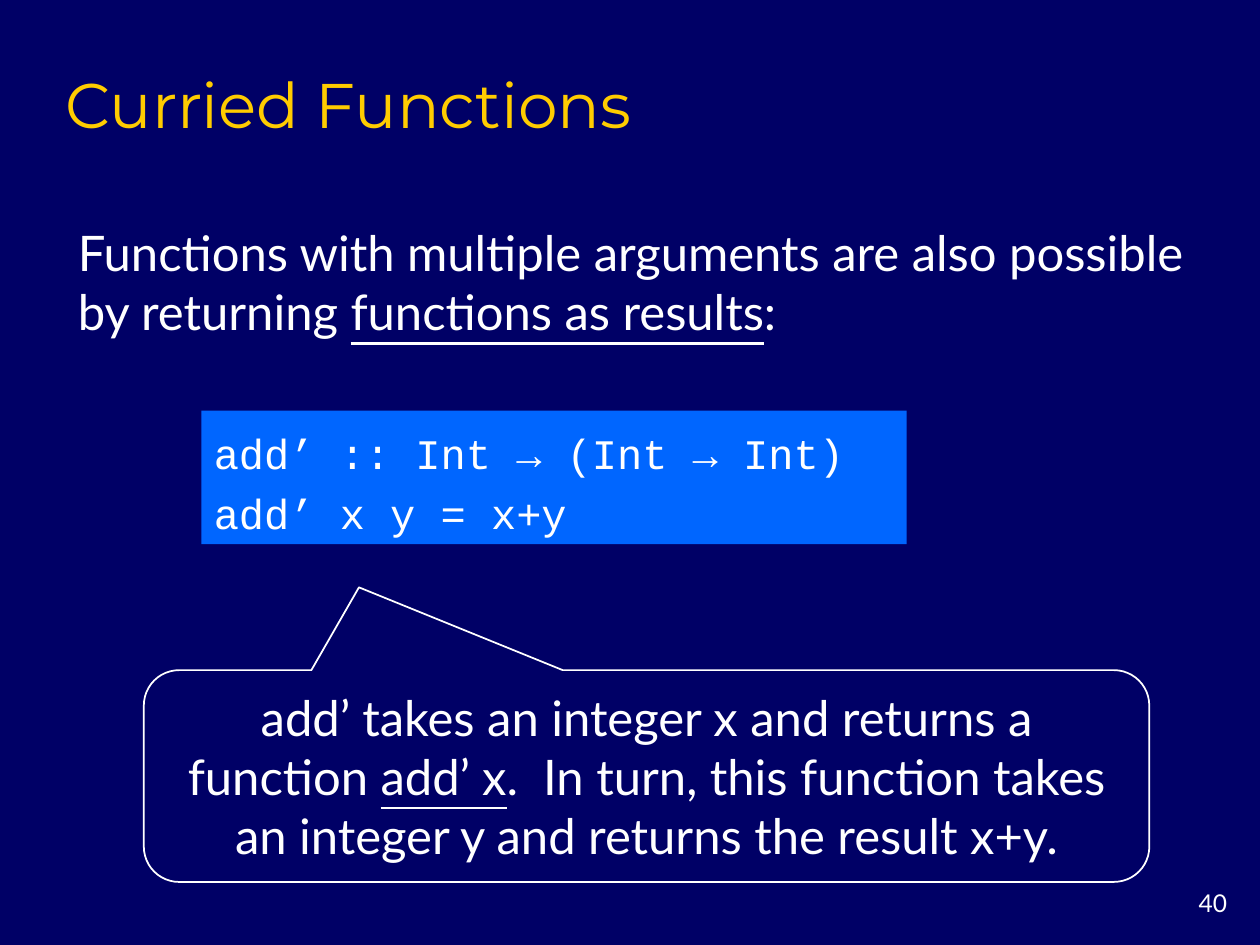
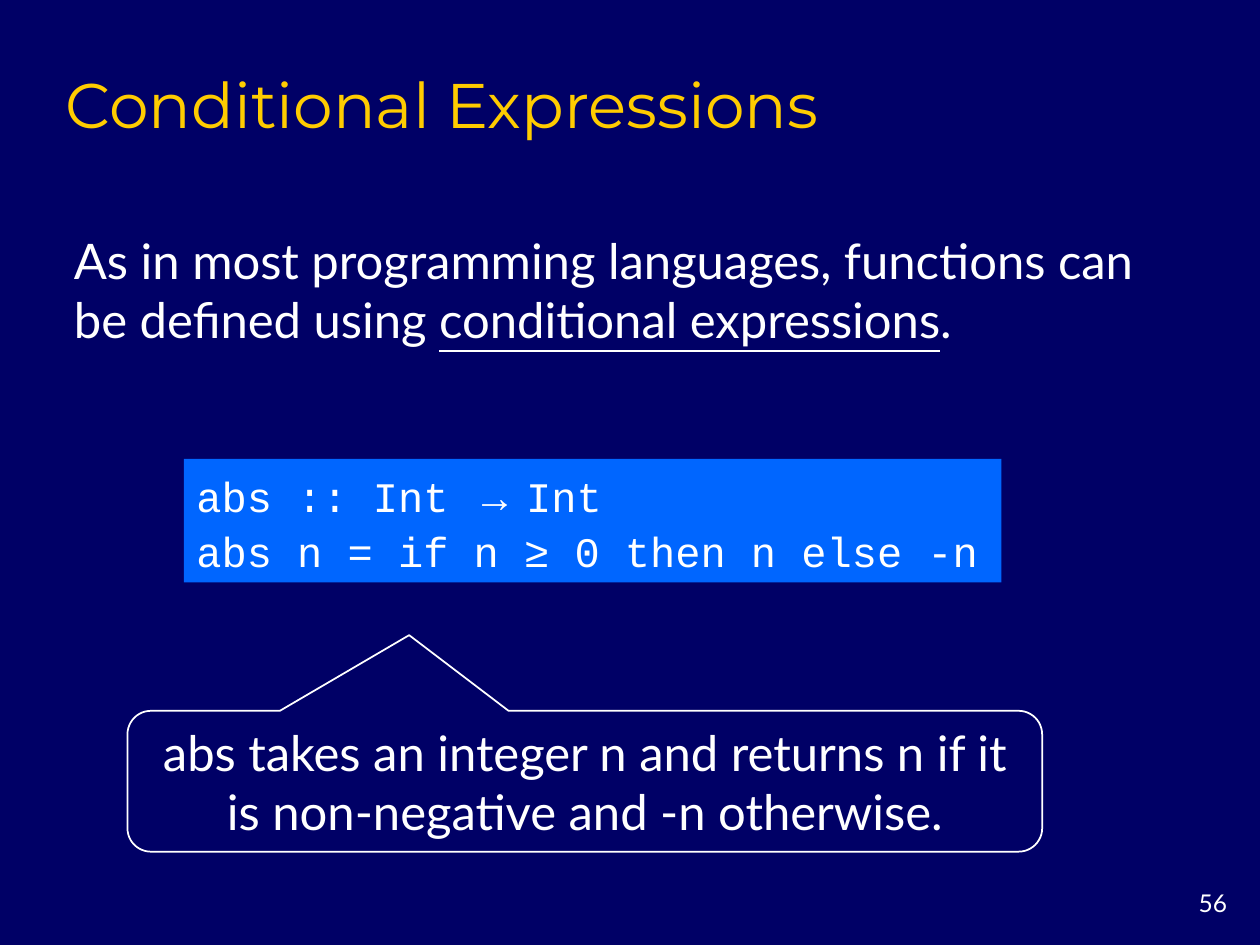
from pptx import Presentation
from pptx.dml.color import RGBColor as Rgb
from pptx.enum.shapes import MSO_SHAPE as Shape
from pptx.enum.text import MSO_ANCHOR as Anchor, PP_ALIGN as Align
from pptx.util import Cm, Pt

HUES = {"back": "000066", "code": "0066FF", "text": "FFFFFF", "title": "FFCC00"}
BODY, HEAD, MONO, SERIF = "Lato", "Montserrat", "Courier New", "Times New Roman"
TITLE_BOX = (1.07, 1.07, 21.59, 1.9)
PAGE_BOX = (23.29, 17.78, 1.7, 0.84)

PAGES = [
    {
        "title": "Curried Functions",
        "page": 40,
        "intro": ((1.32, 4.37, 23.16, 2.62),
                  "Functions with multiple arguments are also possible "
                  "by returning _functions as results_:"),
        "code": ((4.06, 8.28, 14.22, 2.69),
                 ["add’ :: Int → (Int → Int)", "add’ x y = x+y"], 1.2),
        "note": ((2.9, 13.51, 20.27, 4.27),
                 "add’ takes an integer x and returns a function _add’ x_.  "
                 "In turn, this function takes an integer y and returns "
                 "the result x+y.", (-0.286, -0.891, 0.167)),
    },
    {
        "title": "Conditional Expressions",
        "page": 56,
        "intro": ((1.24, 4.52, 22.48, 2.62),
                  "As in most programming languages, functions can "
                  "be defined using _conditional expressions_."),
        "code": ((3.71, 9.25, 16.48, 2.49),
                 ["abs :: Int _→ _Int", "abs n = if n ≥ 0 then n else -n"], 1.1),
        "note": ((2.57, 14.33, 18.44, 2.84),
                 "abs takes an integer n and returns n if it "
                 "is non-negative and -n otherwise.", (-0.192, -1.037, 0.167)),
    },
]


def hue(name):
    """Return a named colour."""
    return Rgb.from_string(HUES[name])


def line(run):
    """Underline a marked run."""
    run.font.underline = True


def serif(run):
    """Set a marked run in the serif font."""
    run.font.name = SERIF


def write(shape, rows, face, size, color="text", align=Align.LEFT,
          anchor=Anchor.MIDDLE, space=None, mark=line):
    """Fill a shape with rows of text, marking the parts between underscores."""
    frame = shape.text_frame
    frame.word_wrap = True
    frame.vertical_anchor = anchor
    for i, row in enumerate(rows):
        para = frame.add_paragraph() if i else frame.paragraphs[0]
        para.alignment = align
        para.line_spacing = space
        para.font.name = face
        para.font.size = Pt(size)
        para.font.color.rgb = hue(color)
        for j, part in enumerate(row.split("_")):
            run = para.add_run()
            run.text = part
            if j % 2:
                mark(run)


def add_title(slide, text):
    """Move and format the title placeholder."""
    title = slide.shapes.title
    title.left, title.top, title.width, title.height = map(Cm, TITLE_BOX)
    write(title, [text], HEAD, 36, "title", anchor=Anchor.BOTTOM)


def add_page(slide, num):
    """Add the page number."""
    box = slide.shapes.add_textbox(*map(Cm, PAGE_BOX))
    write(box, [str(num)], BODY, 14, align=Align.RIGHT, anchor=Anchor.TOP)


def add_intro(slide, box, text):
    """Add the opening sentence."""
    write(slide.shapes.add_textbox(*map(Cm, box)), [text], BODY, 28)


def add_code(slide, box, rows, space):
    """Add a filled panel of code."""
    panel = slide.shapes.add_shape(Shape.RECTANGLE, *map(Cm, box))
    panel.shadow.inherit = False
    panel.fill.solid()
    panel.fill.fore_color.rgb = hue("code")
    panel.line.fill.background()
    write(panel, rows, MONO, 24, space=space, mark=serif)


def add_note(slide, box, text, tip):
    """Add an outlined callout that points at the code."""
    note = slide.shapes.add_shape(Shape.ROUNDED_RECTANGULAR_CALLOUT, *map(Cm, box))
    for i, value in enumerate(tip):
        note.adjustments[i] = value
    note.shadow.inherit = False
    note.fill.background()
    note.line.color.rgb = hue("text")
    note.line.width = Pt(1)
    write(note, [text], BODY, 28, align=Align.CENTER)


def add_slide(deck, data):
    """Add one slide with its title, text, code and callout."""
    slide = deck.slides.add_slide(deck.slide_layouts[5])
    add_title(slide, data["title"])
    add_page(slide, data["page"])
    add_intro(slide, *data["intro"])
    add_code(slide, *data["code"])
    add_note(slide, *data["note"])


def main():
    """Build and save the deck."""
    deck = Presentation()
    deck.slide_width, deck.slide_height = Cm(25.4), Cm(19.05)
    back = deck.slide_master.background.fill
    back.solid()
    back.fore_color.rgb = hue("back")
    for data in PAGES:
        add_slide(deck, data)
    deck.save("out.pptx")


if __name__ == "__main__":
    main()
